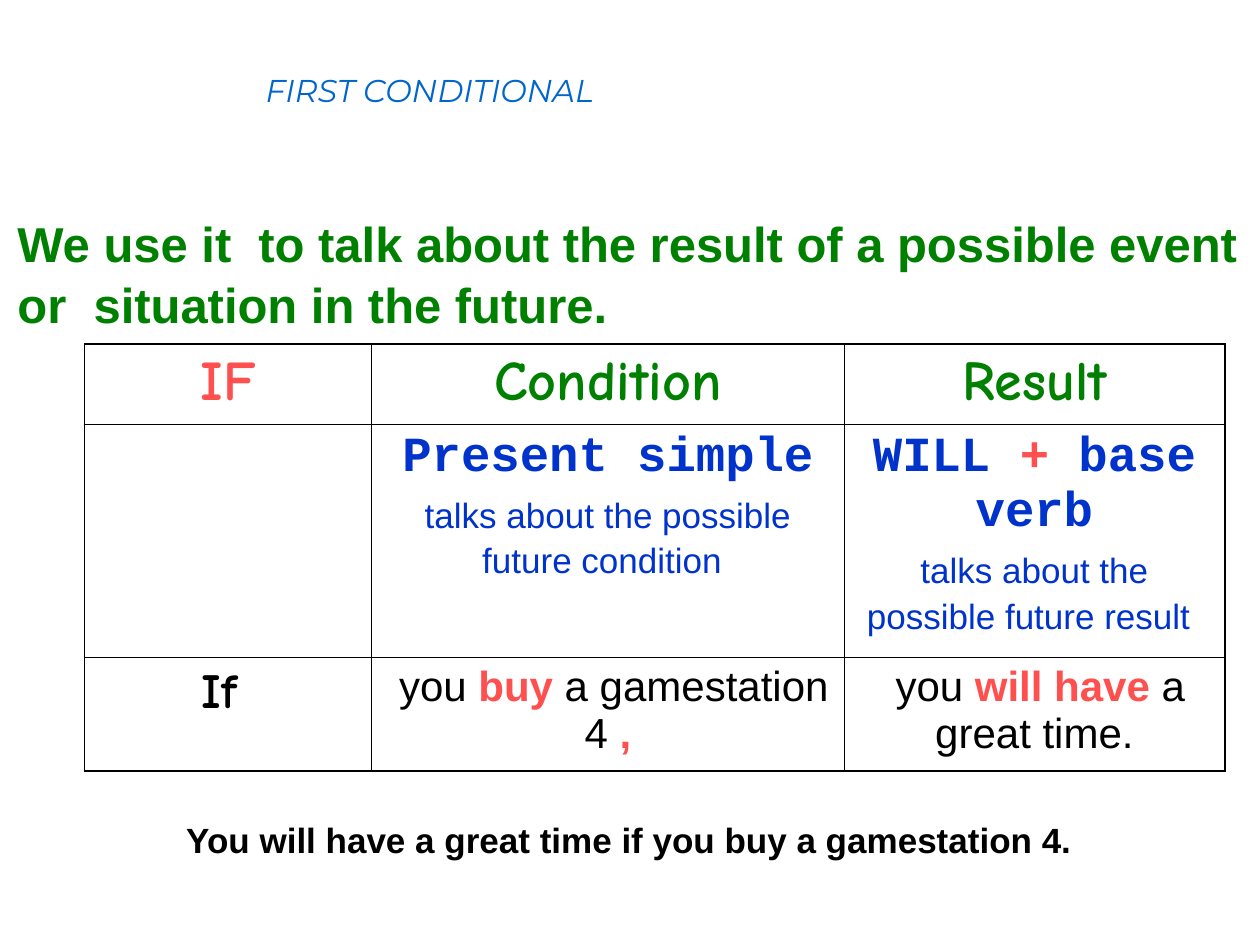
from dataclasses import dataclass

import pptx
import pptx.dml.color
import pptx.enum.text
import pptx.oxml
import pptx.oxml.ns
import pptx.util

RGB = pptx.dml.color.RGBColor
BLACK = RGB(0, 0, 0)
SKY = RGB(0x00, 0x66, 0xCC)
BLUE = RGB(0x00, 0x33, 0xCC)
GREEN = RGB(0x00, 0x80, 0x00)
RED = RGB(0xFF, 0x50, 0x50)

WIDE, HIGH = pptx.util.Inches(10), pptx.util.Inches(7.5)
COLS = (22.8, 37.5, 30.2)  # percent of slide width
ROWS = (8.5, 24.7, 12.0)  # percent of slide height
THIN, THICK = 0.45, 1.08  # border points


@dataclass(frozen=True)
class Style:
    font: str
    size: float
    color: RGB
    bold: bool = True
    slant: bool = False


@dataclass(frozen=True)
class Line:
    words: tuple[tuple[str, Style], ...]
    before: float = 0
    pitch: float | None = None


@dataclass(frozen=True)
class Box:
    left: float
    top: float
    width: float
    height: float
    lines: tuple[Line, ...]
    wrap: bool = True


TITLE = Style("Montserrat", 18, SKY, False, True)
USAGE = Style("Arial", 28, GREEN)
CLOSE = Style("Arial", 20, BLACK)
IF_HEAD = Style("Comic Neue", 32, RED)
HEAD = Style("Comic Neue", 32, GREEN)
FORM = Style("Courier New", 28, BLUE)
PLUS = Style("Courier New", 28, RED)
NOTE = Style("Arial", 20, BLUE, False)
SPACE = Style("Arial", 24, BLUE, False)
IF_WORD = Style("Comic Neue", 28, BLACK)
PLAIN = Style("Arial", 24, BLACK, False)
KEY = Style("Arial", 24, RED)


def across(share: float) -> int:
    return round(WIDE * share / 100)


def down(share: float) -> int:
    return round(HIGH * share / 100)


def fill_text(frame, lines: tuple[Line, ...], align) -> None:
    for spot, line in enumerate(lines):
        para = frame.add_paragraph() if spot else frame.paragraphs[0]
        para.alignment = align
        para.space_before = pptx.util.Pt(line.before)
        if line.pitch:
            para.line_spacing = line.pitch
        for text, style in line.words:
            run = para.add_run()
            run.text = text
            run.font.name = style.font
            run.font.size = pptx.util.Pt(style.size)
            run.font.bold = style.bold
            run.font.italic = style.slant
            run.font.color.rgb = style.color


def draw_box(slide, box: Box) -> None:
    shape = slide.shapes.add_textbox(across(box.left), down(box.top),
                                     across(box.width), down(box.height))
    shape.text_frame.word_wrap = box.wrap
    fill_text(shape.text_frame, box.lines, pptx.enum.text.PP_ALIGN.LEFT)


def draw_edge(cell, side: str, points: float) -> None:
    name = pptx.oxml.ns.nsdecls("a")
    cell._tc.get_or_add_tcPr().append(pptx.oxml.parse_xml(
        f'<a:{side} {name} w="{int(pptx.util.Pt(points))}"><a:solidFill>'
        f'<a:srgbClr val="{BLACK}"/></a:solidFill></a:{side}>'))


def draw_table(slide, left: float, top: float, cells) -> None:
    frame = slide.shapes.add_table(len(ROWS), len(COLS), across(left), down(top),
                                   across(sum(COLS)), down(sum(ROWS)))
    table = frame.table
    table.first_row = table.horz_banding = False
    for col, share in zip(table.columns, COLS):
        col.width = across(share)
    for row, share in zip(table.rows, ROWS):
        row.height = down(share)
    for y, row in enumerate(cells):
        for x, lines in enumerate(row):
            cell = table.cell(y, x)
            # Heavy frame outside, fine rules inside
            outer = {"lnL": x == 0, "lnR": x == len(COLS) - 1,
                     "lnT": y == 0, "lnB": y == len(ROWS) - 1}
            for side, edge in outer.items():
                draw_edge(cell, side, THICK if edge else THIN)
            cell.fill.background()
            fill_text(cell.text_frame, lines, pptx.enum.text.PP_ALIGN.CENTER)


def head(text: str, style: Style) -> tuple[Line, ...]:
    return (Line(((text, style),), 8),)


def form(words, note: str) -> tuple[Line, ...]:
    return Line(words, 7), Line(((note, NOTE), (" ", SPACE)), 6)


BOXES = (
    Box(20.1, 6.9, 57.3, 9.3, (Line((("FIRST CONDITIONAL", TITLE),)),), False),
    Box(0.4, 21.6, 99.5, 13.9, (
        Line((("We use it  to talk about the result of a possible event", USAGE),),
             pitch=1.05),
        Line((("or  situation in the future.", USAGE),), pitch=1.05))),
    Box(13.8, 85.7, 89.4, 5.9, (
        Line((("You will have a great time if you buy a gamestation 4.", CLOSE),),
             pitch=1.05),)),
)

CELLS = (
    (head("IF", IF_HEAD), head("Condition", HEAD), head("Result", HEAD)),
    ((),
     form((("Present simple", FORM),), "talks about the possible future condition"),
     form((("WILL ", FORM), ("+", PLUS), (" base verb", FORM)),
          "talks about the possible future result")),
    ((Line((("If ", IF_WORD),), 7),),
     (Line(((" you ", PLAIN), ("buy", KEY), (" a gamestation 4 ", PLAIN),
            (",", KEY)), 6),),
     (Line(((" you ", PLAIN), ("will have", KEY), (" a great time.", PLAIN)), 6),)),
)


def main() -> None:
    deck = pptx.Presentation()
    deck.slide_width, deck.slide_height = WIDE, HIGH
    slide = deck.slides.add_slide(deck.slide_layouts[6])
    # Title, usage and closing example
    for box in BOXES:
        draw_box(slide, box)
    # Grammar table
    draw_table(slide, 6.7, 36.4, CELLS)
    deck.save("out.pptx")


if __name__ == "__main__":
    main()
